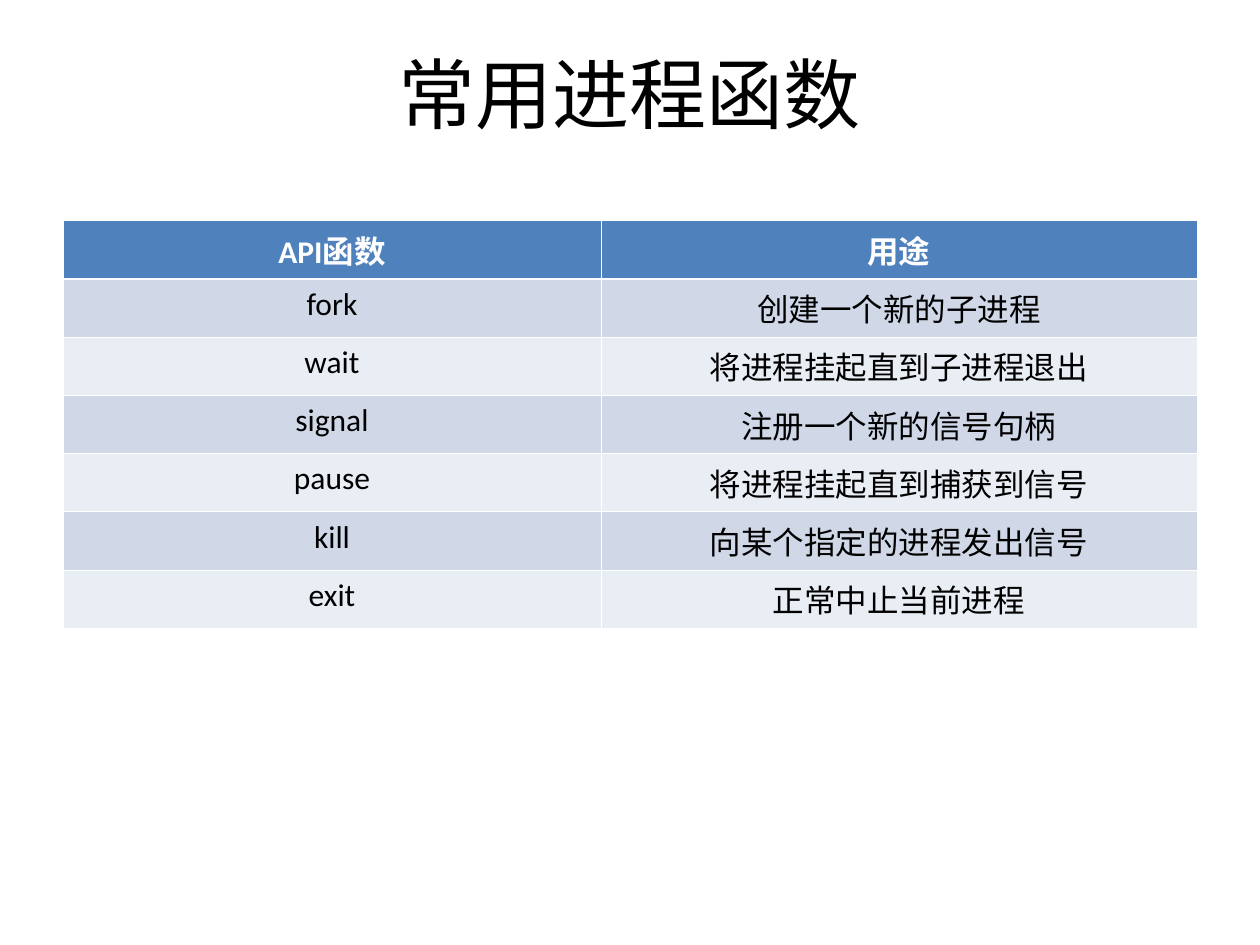
from pptx import Presentation
from pptx.dml.color import RGBColor
from pptx.enum.text import MSO_ANCHOR, PP_ALIGN
from pptx.oxml.ns import qn
from pptx.util import Inches, Pt
from lxml.etree import SubElement

COLORS = {
    "text": "000000",
    "header_text": "FFFFFF",
    "header": "4F81BD",
    "odd_row": "D0D8E8",
    "even_row": "E9EDF4",
    "border": "FFFFFF",
}
FORMATS = {
    "title": {"name": "Calibri", "size": Pt(44), "bold": False},
    "header": {"name": "Calibri", "size": Pt(18), "bold": True},
    "body": {"name": "Calibri", "size": Pt(18), "bold": False},
}
THIN, THICK = Pt(0.45), Pt(1.47)
COLUMN_WIDTHS = [4.27, 4.73]
ROW_HEIGHT = 0.41
ROWS = [
    ("API函数", "用途"),
    ("fork", "创建一个新的子进程"),
    ("wait", "将进程挂起直到子进程退出"),
    ("signal", "注册一个新的信号句柄"),
    ("pause", "将进程挂起直到捕获到信号"),
    ("kill", "向某个指定的进程发出信号"),
    ("exit", "正常中止当前进程"),
]


def write_text(text_frame, text, format_name, color_name):
    """Write one centred paragraph."""
    paragraph = text_frame.paragraphs[0]
    paragraph.alignment = PP_ALIGN.CENTER
    run = paragraph.add_run()
    run.text = text
    for attribute, value in FORMATS[format_name].items():
        setattr(run.font, attribute, value)
    run.font.color.rgb = RGBColor.from_string(COLORS[color_name])


def set_borders(cell, top, bottom):
    """Draw the four cell edges; the sides are always thin."""
    properties = cell._tc.get_or_add_tcPr()
    widths = {"a:lnL": THIN, "a:lnR": THIN, "a:lnT": top, "a:lnB": bottom}
    for tag, width in widths.items():
        line = SubElement(properties, qn(tag), w=str(int(width)))
        fill = SubElement(line, qn("a:solidFill"))
        SubElement(fill, qn("a:srgbClr"), val=COLORS["border"])


def add_title(slide, text):
    box = slide.shapes.add_textbox(Inches(0.5), Inches(0.3), Inches(9), Inches(0.87))
    box.text_frame.word_wrap = True
    box.text_frame.vertical_anchor = MSO_ANCHOR.MIDDLE
    write_text(box.text_frame, text, "title", "text")


def add_function_table(slide):
    frame = slide.shapes.add_table(
        len(ROWS), len(COLUMN_WIDTHS), Inches(0.5), Inches(1.75),
        Inches(sum(COLUMN_WIDTHS)), Inches(ROW_HEIGHT * len(ROWS)))
    table = frame.table
    for column, width in zip(table.columns, COLUMN_WIDTHS):
        column.width = Inches(width)

    for row_index, texts in enumerate(ROWS):
        table.rows[row_index].height = Inches(ROW_HEIGHT)
        is_header = row_index == 0
        if is_header:
            fill_name, format_name, color_name = "header", "header", "header_text"
        else:
            fill_name = "odd_row" if row_index % 2 else "even_row"
            format_name, color_name = "body", "text"
        # The rule between the header and the first row is thicker
        top = THICK if row_index == 1 else THIN
        bottom = THICK if is_header else THIN
        for column_index, text in enumerate(texts):
            cell = table.cell(row_index, column_index)
            write_text(cell.text_frame, text, format_name, color_name)
            set_borders(cell, top, bottom)
            cell.fill.solid()
            cell.fill.fore_color.rgb = RGBColor.from_string(COLORS[fill_name])


def main():
    presentation = Presentation()
    presentation.slide_width = Inches(10)
    presentation.slide_height = Inches(7.5)
    slide = presentation.slides.add_slide(presentation.slide_layouts[6])

    # Table of process functions, then the title
    add_function_table(slide)
    add_title(slide, "常用进程函数")

    presentation.save("out.pptx")


if __name__ == "__main__":
    main()
